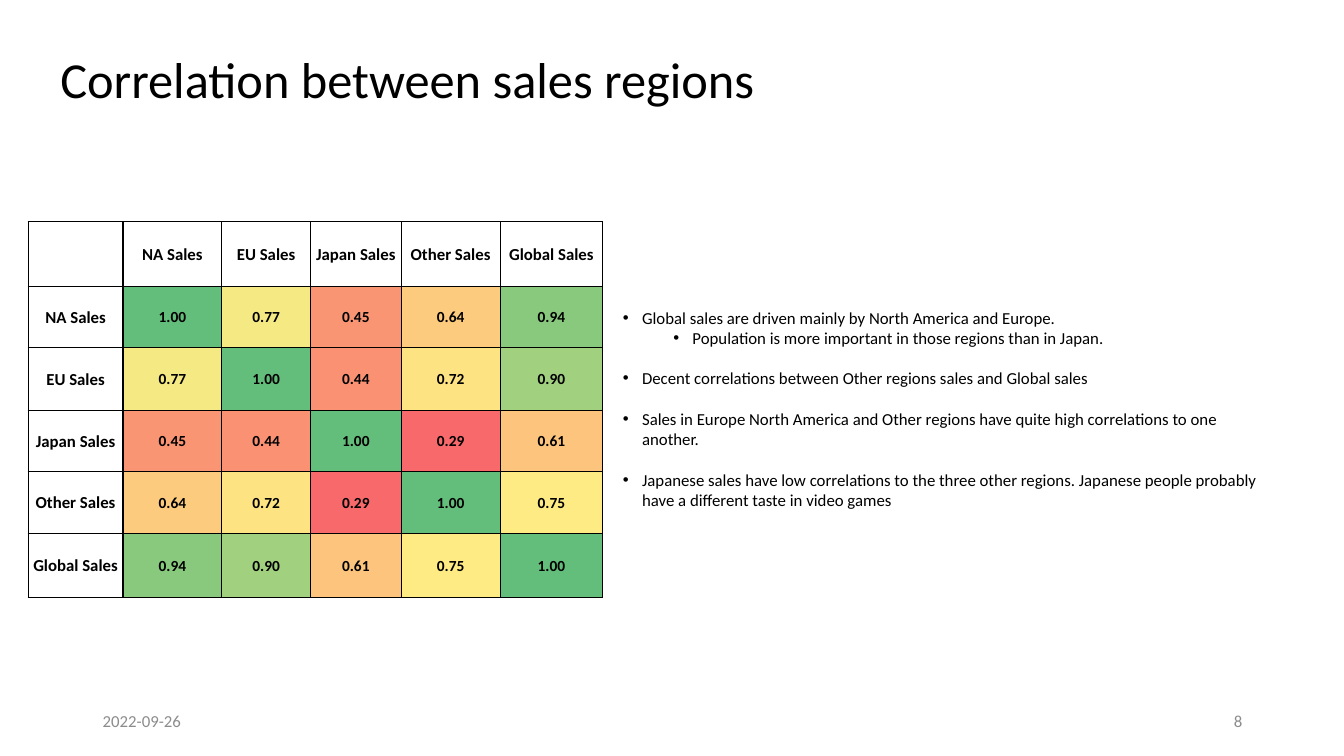
import pptx
import pptx.util
import pptx.dml.color
import pptx.enum.text
import pptx.oxml.ns
from lxml import etree

Inches, Pt = pptx.util.Inches, pptx.util.Pt
RGB = pptx.dml.color.RGBColor
Align = pptx.enum.text.PP_ALIGN
Anchor = pptx.enum.text.MSO_ANCHOR
qn = pptx.oxml.ns.qn

BLACK = RGB(0, 0, 0)
GRAY = RGB(0x8C, 0x8C, 0x8C)
FONT = "Calibri"

TITLE = "Correlation between sales regions"
DATE = "2022-09-26"
PAGE = "8"
NAMES = ["NA Sales", "EU Sales", "Japan Sales", "Other Sales", "Global Sales"]
SCORES = [
    ["1.00", "0.77", "0.45", "0.64", "0.94"],
    ["0.77", "1.00", "0.44", "0.72", "0.90"],
    ["0.45", "0.44", "1.00", "0.29", "0.61"],
    ["0.64", "0.72", "0.29", "1.00", "0.75"],
    ["0.94", "0.90", "0.61", "0.75", "1.00"],
]
HEAT = {
    "0.29": RGB(0xF8, 0x69, 0x6B),
    "0.44": RGB(0xFA, 0x91, 0x72),
    "0.45": RGB(0xFA, 0x95, 0x73),
    "0.61": RGB(0xFC, 0xC4, 0x7C),
    "0.64": RGB(0xFD, 0xCB, 0x7D),
    "0.72": RGB(0xFE, 0xE3, 0x82),
    "0.75": RGB(0xFF, 0xEB, 0x84),
    "0.77": RGB(0xF5, 0xE9, 0x84),
    "0.90": RGB(0xA1, 0xD0, 0x7F),
    "0.94": RGB(0x88, 0xC9, 0x7E),
    "1.00": RGB(0x63, 0xBE, 0x7B),
}
NOTES = [
    (0, "Global sales are driven mainly by North America and Europe."),
    (1, "Population is more important in those regions than in Japan."),
    (0, "Decent correlations between Other regions sales and Global sales"),
    (0, "Sales in Europe North America and Other regions have quite high "
        "correlations to one another."),
    (0, "Japanese sales have low correlations to the three other regions. "
        "Japanese people probably have a different taste in video games"),
]
COLS = [0.94, 0.98, 0.88, 0.9, 0.98, 1.02]
ROWS = [0.64, 0.61, 0.62, 0.61, 0.61, 0.64]
HEAVY = (0, 1, len(COLS))


def add_run(para, text, size, color=BLACK, bold=False):
    run = para.add_run()
    run.text = text
    font = run.font
    font.name, font.size, font.bold = FONT, Pt(size), bold
    font.color.rgb = color


def add_box(slide, area, anchor=Anchor.MIDDLE):
    frame = slide.shapes.add_textbox(*map(Inches, area)).text_frame
    frame.word_wrap = True
    frame.vertical_anchor = anchor
    return frame


def set_edges(cell, row, col):
    props = cell._tc.get_or_add_tcPr()
    edges = [("lnL", col), ("lnR", col + 1), ("lnT", row), ("lnB", row + 1)]
    for spot, (tag, edge) in enumerate(edges):
        width = 1 if edge in HEAVY else 0.5
        line = etree.Element(qn("a:" + tag), w=str(Pt(width)))
        fill = etree.SubElement(line, qn("a:solidFill"))
        etree.SubElement(fill, qn("a:srgbClr"), val=str(BLACK))
        props.insert(spot, line)


def add_matrix(slide):
    grid = [[""] + NAMES] + [[n] + s for n, s in zip(NAMES, SCORES)]
    area = map(Inches, (0.28, 2.2, sum(COLS), sum(ROWS)))
    table = slide.shapes.add_table(len(ROWS), len(COLS), *area).table
    table.first_row = table.horz_banding = False
    for col, width in zip(table.columns, COLS):
        col.width = Inches(width)
    for row, height in zip(table.rows, ROWS):
        row.height = Inches(height)
    for r, line in enumerate(grid):
        for c, text in enumerate(line):
            cell = table.cell(r, c)
            cell.vertical_anchor = Anchor.MIDDLE
            cell.margin_left = cell.margin_right = cell.margin_top = Inches(0.01)
            cell.margin_bottom = 0
            if text in HEAT:
                cell.fill.solid()
                cell.fill.fore_color.rgb = HEAT[text]
            else:
                cell.fill.background()
            set_edges(cell, r, c)
            if text:
                para = cell.text_frame.paragraphs[0]
                para.alignment = Align.CENTER
                add_run(para, text, 11 if text in HEAT else 12, bold=True)


def add_notes(slide):
    frame = add_box(slide, (6.08, 3, 6.67, 2.12), Anchor.TOP)
    for i, (level, text) in enumerate(NOTES):
        para = frame.add_paragraph() if i else frame.paragraphs[0]
        para.level = level
        para.space_before = Pt(14.6 if i and not level else 0)
        props = para._p.get_or_add_pPr()
        props.set("marL", str(Inches(0.19 + 0.5 * level)))
        props.set("indent", str(Inches(-0.19)))
        etree.SubElement(props, qn("a:buFont"), typeface="Arial")
        etree.SubElement(props, qn("a:buChar"), char="•")
        add_run(para, text, 12)


def main():
    deck = pptx.Presentation()
    deck.slide_width, deck.slide_height = Inches(13.33), Inches(7.5)
    slide = deck.slides.add_slide(deck.slide_layouts[6])
    title = add_box(slide, (0.5, 0.48, 11, 0.68)).paragraphs[0]
    title.line_spacing = 0.9
    add_run(title, TITLE, 36)
    add_matrix(slide)
    add_notes(slide)
    for left, text, side in [(0.92, DATE, Align.LEFT), (9.42, PAGE, Align.RIGHT)]:
        para = add_box(slide, (left, 6.95, 3, 0.4)).paragraphs[0]
        para.alignment = side
        add_run(para, text, 12, GRAY)
    deck.save("out.pptx")


if __name__ == "__main__":
    main()
